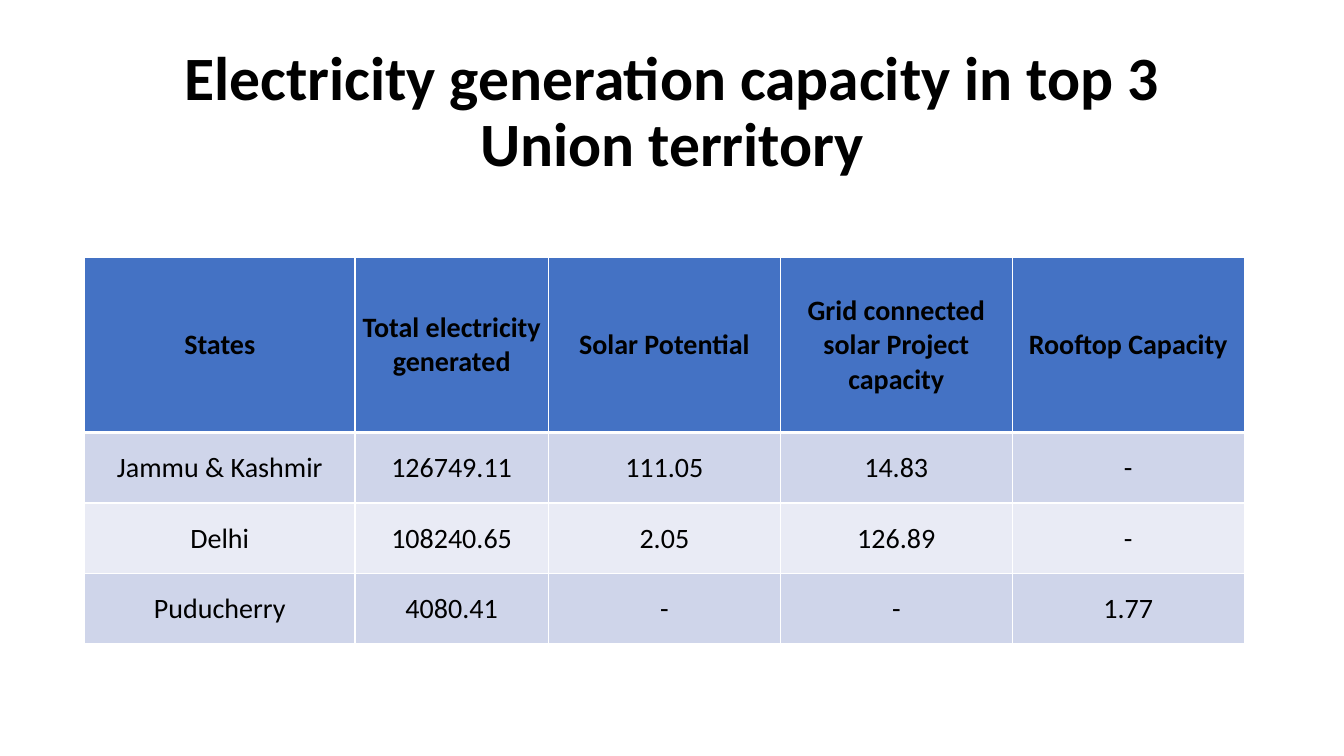
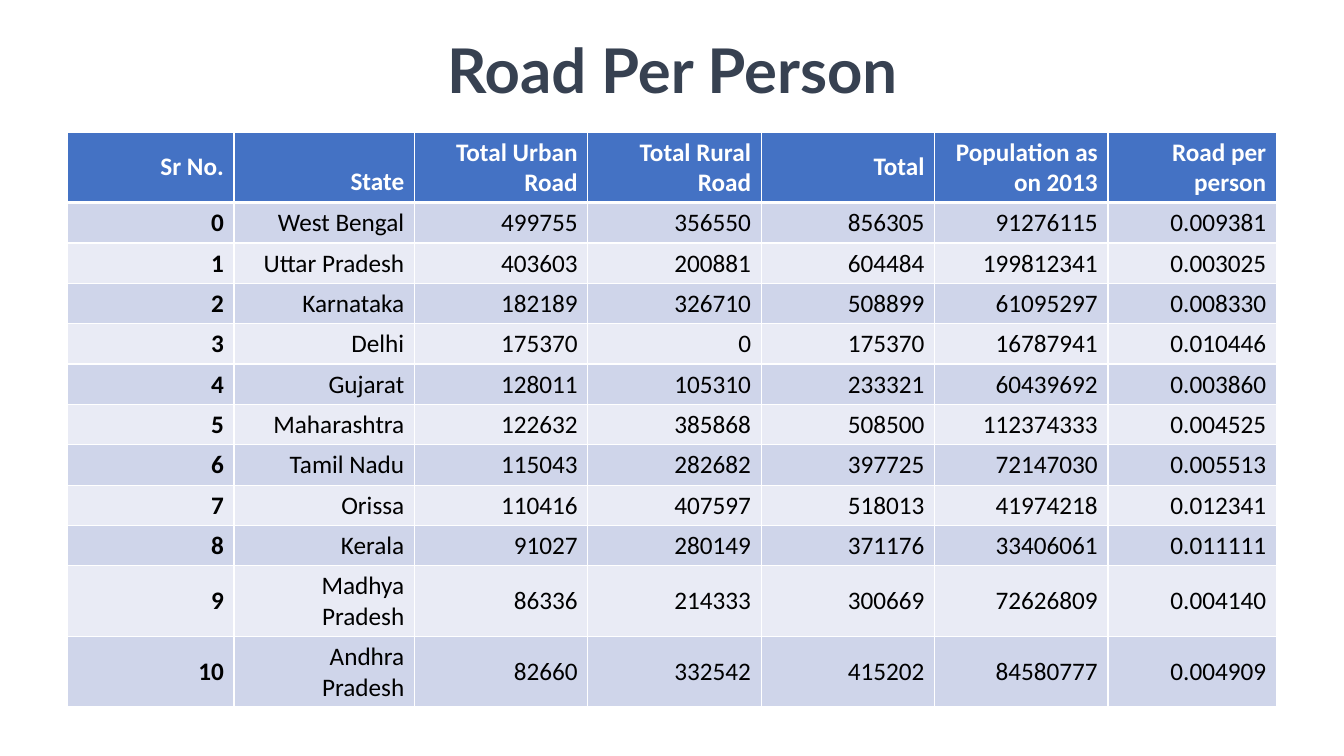
from lxml import etree
from pptx import Presentation
from pptx import util as u
from pptx.dml.color import RGBColor
from pptx.enum import text
from pptx.oxml import ns

COLORS = {
    "black": "000000",
    "white": "FFFFFF",
    "slate": "374151",
    "header": "4472C4",
    "odd_row": "CFD5EA",
    "even_row": "E9EBF5",
}
BODY_FONT = "Calibri"
TITLE_SIZE = 44
CENTER, RIGHT = text.PP_ALIGN.CENTER, text.PP_ALIGN.RIGHT
MIDDLE, BOTTOM = text.MSO_ANCHOR.MIDDLE, text.MSO_ANCHOR.BOTTOM


def write_text(frame, content, size, color="black", bold=False, font=BODY_FONT, align=CENTER, spacing=1.0):
    frame.word_wrap = True
    paragraph = frame.paragraphs[0]
    paragraph.alignment = align
    paragraph.line_spacing = spacing
    run = paragraph.add_run()
    run.text = content
    run.font.name = font
    run.font.size = u.Pt(size)
    run.font.bold = bold
    run.font.color.rgb = RGBColor.from_string(COLORS[color])


def set_borders(cell, top, bottom):
    properties = cell._tc.get_or_add_tcPr()
    for index, (side, points) in enumerate((("L", 1), ("R", 1), ("T", top), ("B", bottom))):
        line = etree.Element(ns.qn(f"a:ln{side}"), w=str(u.Pt(points)))
        fill = etree.SubElement(line, ns.qn("a:solidFill"))
        etree.SubElement(fill, ns.qn("a:srgbClr"), val=COLORS["white"])
        properties.insert(index, line)


capacity_rows = [
    ["States", "Total electricity generated", "Solar Potential", "Grid connected solar Project capacity", "Rooftop Capacity"],
    ["Jammu & Kashmir", "126749.11", "111.05", "14.83", "-"],
    ["Delhi", "108240.65", "2.05", "126.89", "-"],
    ["Puducherry", "4080.41", "-", "-", "1.77"],
]
road_rows = [
    ["Sr No.", "State", "Total Urban Road", "Total Rural Road", "Total", "Population as on 2013", "Road per person"],
    ["0", "West Bengal", "499755", "356550", "856305", "91276115", "0.009381"],
    ["1", "Uttar Pradesh", "403603", "200881", "604484", "199812341", "0.003025"],
    ["2", "Karnataka", "182189", "326710", "508899", "61095297", "0.008330"],
    ["3", "Delhi", "175370", "0", "175370", "16787941", "0.010446"],
    ["4", "Gujarat", "128011", "105310", "233321", "60439692", "0.003860"],
    ["5", "Maharashtra", "122632", "385868", "508500", "112374333", "0.004525"],
    ["6", "Tamil Nadu", "115043", "282682", "397725", "72147030", "0.005513"],
    ["7", "Orissa", "110416", "407597", "518013", "41974218", "0.012341"],
    ["8", "Kerala", "91027", "280149", "371176", "33406061", "0.011111"],
    ["9", "Madhya Pradesh", "86336", "214333", "300669", "72626809", "0.004140"],
    ["10", "Andhra Pradesh", "82660", "332542", "415202", "84580777", "0.004909"],
]
pages = [
    {
        "title": "Electricity generation capacity in top 3 Union territory",
        "title_font": BODY_FONT, "title_color": "black", "title_height": 1.45,
        "rows": capacity_rows, "left": 0.84, "top": 2.55,
        "widths": [2.68, 1.92] + [2.3] * 3, "heights": [1.74] + [0.7] * 3,
        "size": 20, "align": CENTER, "header_color": "black",
        "margins": (0.01, 0.01, 0.01, 0), "bold_first_column": False,
        "bottom_headers": [],
    },
    {
        "title": "Road Per Person",
        "title_font": "Lato", "title_color": "slate", "title_height": 0.66,
        "rows": road_rows, "left": 0.67, "top": 1.31,
        "widths": [1.65, 1.79] + [1.72] * 4 + [1.67], "heights": [0.7] + [0.4] * 9 + [0.7] * 2,
        "size": 18, "align": RIGHT, "header_color": "white",
        "margins": (0.1, 0.05, 0.1, 0.05), "bold_first_column": True,
        "bottom_headers": ["State"],
    },
]

presentation = Presentation()
presentation.slide_width = u.Inches(13.33)
presentation.slide_height = u.Inches(7.5)

for page in pages:
    slide = presentation.slides.add_slide(presentation.slide_layouts[6])
    title = slide.shapes.add_textbox(
        u.Inches(0.92), u.Inches(0.4), u.Inches(11.5), u.Inches(page["title_height"])
    )
    title.text_frame.vertical_anchor = MIDDLE
    write_text(
        title.text_frame, page["title"], TITLE_SIZE, color=page["title_color"],
        bold=True, font=page["title_font"], spacing=0.9,
    )

    widths, heights = page["widths"], page["heights"]
    table = slide.shapes.add_table(
        len(heights), len(widths), u.Inches(page["left"]), u.Inches(page["top"]),
        u.Inches(sum(widths)), u.Inches(sum(heights)),
    ).table
    for column, width in zip(table.columns, widths):
        column.width = u.Inches(width)
    for row, height in zip(table.rows, heights):
        row.height = u.Inches(height)

    for row_index, values in enumerate(page["rows"]):
        is_header = row_index == 0
        row_fill = "header" if is_header else "odd_row" if row_index % 2 else "even_row"
        for column_index, value in enumerate(values):
            cell = table.cell(row_index, column_index)
            cell.fill.solid()
            cell.fill.fore_color.rgb = RGBColor.from_string(COLORS[row_fill])
            set_borders(cell, top=3 if row_index == 1 else 1, bottom=3 if is_header else 1)
            cell.margin_left, cell.margin_top, cell.margin_right, cell.margin_bottom = map(u.Inches, page["margins"])
            cell.vertical_anchor = BOTTOM if is_header and value in page["bottom_headers"] else MIDDLE
            write_text(
                cell.text_frame, value, page["size"],
                color=page["header_color"] if is_header else "black",
                bold=is_header or (column_index == 0 and page["bold_first_column"]),
                align=page["align"],
            )

presentation.save("out.pptx")
